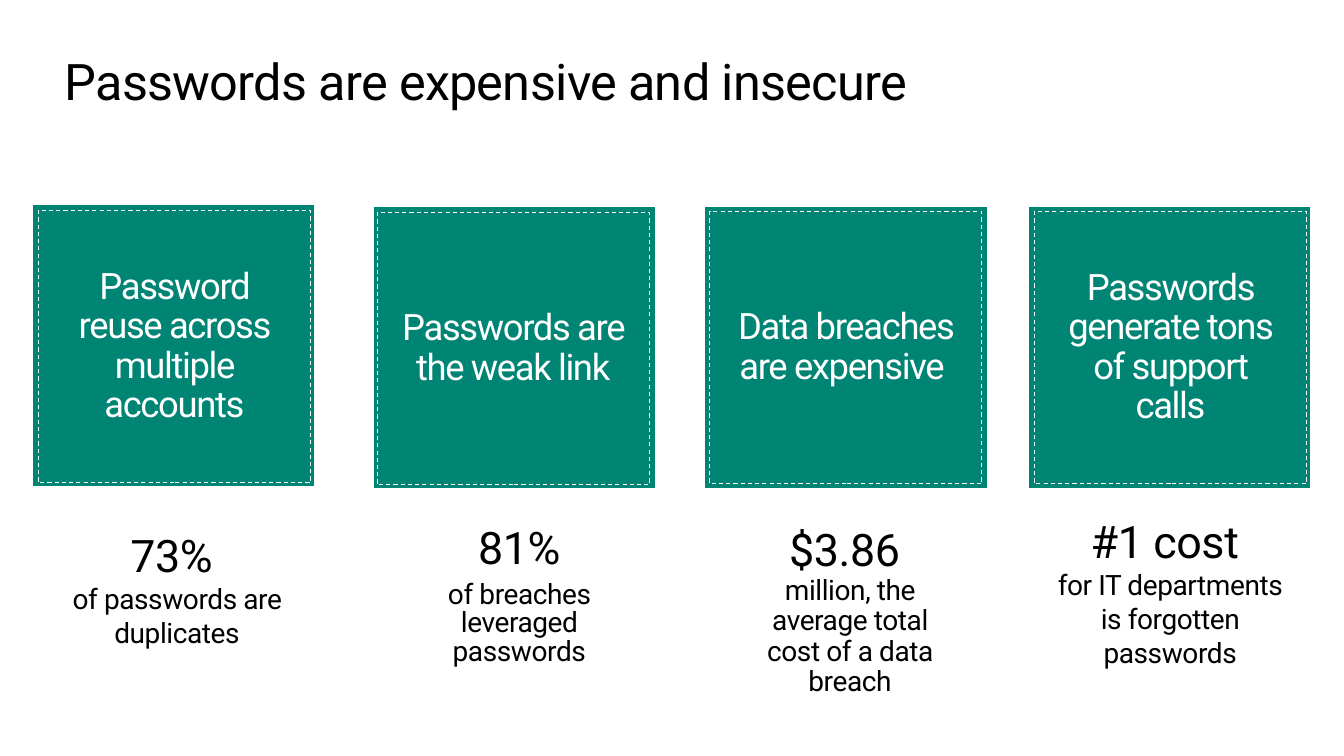
from dataclasses import dataclass

import pptx
import pptx.dml.color
import pptx.enum.dml
import pptx.enum.shapes
import pptx.enum.text
import pptx.util

PX = 9144
FONT = "Roboto"
COLORS = {"teal": "008575", "white": "FFFFFF", "black": "000000"}
TILE, INNER = 280, 270
PP_ALIGN = pptx.enum.text.PP_ALIGN
MSO_ANCHOR = pptx.enum.text.MSO_ANCHOR


@dataclass
class Box:
    left: int
    top: int
    width: int
    height: int

    def emu(self) -> list[int]:
        return [v * PX for v in (self.left, self.top, self.width, self.height)]


@dataclass
class Topic:
    left: int
    top: int
    inset_x: int
    inset_y: int
    heading: str
    figure: str
    detail: str
    box: Box
    line_spacing: float = 1.0
    space_after: float = 0
    indent: int = 0


TOPICS = [
    Topic(32, 203, 6, 6, "Password reuse across multiple accounts",
          "73% ", "of passwords are duplicates", Box(32, 519, 287, 131)),
    Topic(370, 205, 4, 6, "Passwords are the weak link",
          "81%", "of breaches leveraged passwords", Box(398, 519, 222, 149),
          0.85, 5.4, 12),
    Topic(699, 205, 5, 5, "Data breaches are expensive ",
          "$3.86 ", "million, the average total cost of a data breach",
          Box(734, 519, 218, 180), 0.9),
    Topic(1020, 205, 6, 5, "Passwords generate tons of support calls",
          "#1 cost ", "for IT departments is forgotten passwords",
          Box(1038, 505, 245, 165)),
]


def rgb(name: str) -> pptx.dml.color.RGBColor:
    return pptx.dml.color.RGBColor.from_string(COLORS[name])


def write(p, text: str, size: int, color: str, spacing: int,
          align=PP_ALIGN.CENTER, line_spacing: float = 1.0) -> None:
    p.text = text
    p.alignment = align
    p.line_spacing = line_spacing
    p.font.name = FONT
    p.font.size = pptx.util.Pt(size)
    p.font.color.rgb = rgb(color)
    p._p.get_or_add_pPr().get_or_add_defRPr().set("spc", str(spacing))


def set_insets(tf, x: int, y: int) -> None:
    tf.margin_left = tf.margin_right = x * PX
    tf.margin_top = tf.margin_bottom = y * PX


def add_square(slide, left: int, top: int, side: int):
    sp = slide.shapes.add_shape(pptx.enum.shapes.MSO_SHAPE.RECTANGLE,
                                *Box(left, top, side, side).emu())
    sp.shadow.inherit = False
    sp.fill.solid()
    sp.fill.fore_color.rgb = rgb("teal")
    sp.line.color.rgb = rgb("white")
    sp.line.width = pptx.util.Pt(0.75)
    return sp


def add_tile(slide, topic: Topic) -> None:
    add_square(slide, topic.left, topic.top, TILE)
    sp = add_square(slide, topic.left + topic.inset_x,
                    topic.top + topic.inset_y, INNER)
    sp.line.dash_style = pptx.enum.dml.MSO_LINE.DASH
    tf = sp.text_frame
    tf.word_wrap = True
    tf.vertical_anchor = MSO_ANCHOR.MIDDLE
    set_insets(tf, 20, 16)
    write(tf.paragraphs[0], topic.heading, 26, "white", -100, line_spacing=0.9)


def add_fact(slide, topic: Topic) -> None:
    tf = slide.shapes.add_textbox(*topic.box.emu()).text_frame
    tf.word_wrap = True
    tf.auto_size = pptx.enum.text.MSO_AUTO_SIZE.SHAPE_TO_FIT_TEXT
    for p, text, size in ((tf.paragraphs[0], topic.figure, 32),
                          (tf.add_paragraph(), topic.detail, 20)):
        write(p, text, size, "black", -30, line_spacing=topic.line_spacing)
        p.space_after = pptx.util.Pt(topic.space_after)
        p._p.get_or_add_pPr().set("marL", str(topic.indent * PX))


def add_title(slide, text: str) -> None:
    title = slide.shapes.title
    title.left, title.top, title.width, title.height = Box(64, 50, 1205, 61).emu()
    tf = title.text_frame
    tf.word_wrap = True
    tf.auto_size = pptx.enum.text.MSO_AUTO_SIZE.SHAPE_TO_FIT_TEXT
    tf.vertical_anchor = MSO_ANCHOR.TOP
    set_insets(tf, 0, 0)
    write(tf.paragraphs[0], text, 36, "black", -50, PP_ALIGN.LEFT)


def main() -> None:
    prs = pptx.Presentation()
    prs.slide_width, prs.slide_height = 1333 * PX, 750 * PX
    slide = prs.slides.add_slide(prs.slide_layouts[5])
    add_title(slide, "Passwords are expensive and insecure")
    for topic in TOPICS:
        add_tile(slide, topic)
        add_fact(slide, topic)
    prs.save("out.pptx")


if __name__ == "__main__":
    main()
